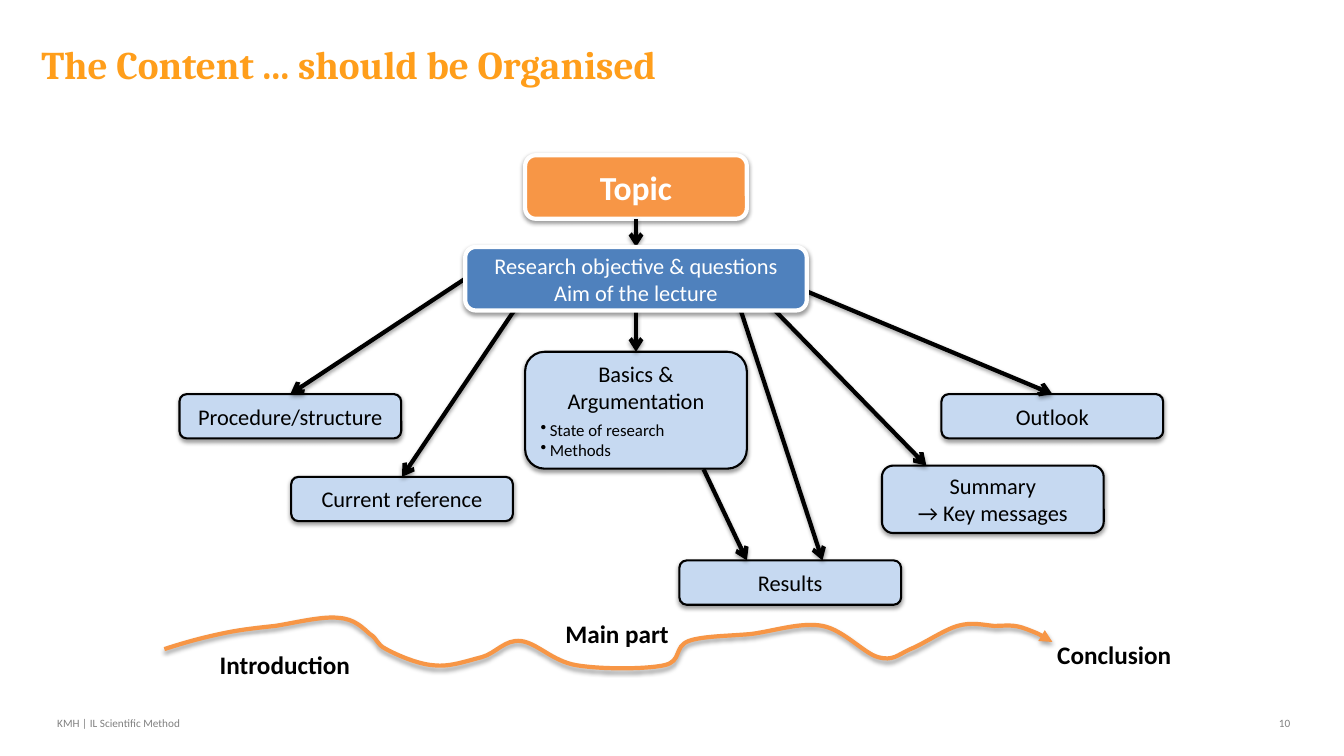
"""Build the slide showing how the content of a lecture is organised."""
from dataclasses import dataclass
from typing import NamedTuple, Union

from lxml import etree
from pptx import Presentation, util as u
from pptx.dml.color import RGBColor
from pptx.enum import shapes, text
from pptx.oxml import ns

Pt = u.Pt
BLACK = RGBColor(0x00, 0x00, 0x00)
WHITE = RGBColor(0xFF, 0xFF, 0xFF)
GREY = RGBColor(0x80, 0x80, 0x80)
AMBER = RGBColor(0xFF, 0x9E, 0x1B)
ORANGE = RGBColor(0xF7, 0x96, 0x46)
BLUE = RGBColor(0x4F, 0x81, 0xBD)
PALE_BLUE = RGBColor(0xC6, 0xD9, 0xF1)
TOP, LEFT, BOTTOM = 0, 1, 2


class Point(NamedTuple):
    x: float
    y: float


class Joint(NamedTuple):
    box: str
    side: int


@dataclass(frozen=True)
class Box:
    name: str
    text: str
    left: float
    top: float
    width: float = 158.4
    height: float = 31.7
    fill: RGBColor = PALE_BLUE
    line: RGBColor = BLACK
    line_width: float = 1.5
    color: RGBColor = BLACK
    size: float = 16
    bold: bool = False
    bullets: tuple[str, ...] = ()


@dataclass(frozen=True)
class Arrow:
    start: Union[Point, Joint]
    end: Union[Point, Joint]


@dataclass(frozen=True)
class Label:
    text: str
    left: float
    top: float
    width: float
    height: float = 29
    size: float = 18
    color: RGBColor = BLACK
    bold: bool = True
    align: text.PP_ALIGN = text.PP_ALIGN.LEFT


BOXES = (
    Box("procedure", "Procedure/structure", 128.2, 281.5),
    Box("reference", "Current reference", 208, 340.6),
    Box("topic", "Topic", 375.1, 110.9, height=45.4, fill=ORANGE, line=WHITE,
        line_width=3, color=WHITE, size=24, bold=True),
    Box("basics", "Basics &\vArgumentation", 375.1, 251.3, height=83.5,
        bullets=("State of research", "Methods")),
    Box("results", "Results", 485.3, 400.3),
    Box("summary", "Summary\v→ Key messages", 630, 332.6, height=48.2),
    Box("outlook", "Outlook", 672.5, 281.5),
    Box("aim", "Research objective & questions\nAim of the lecture", 332.3, 176.4,
        244, 45.4, BLUE, WHITE, 3, WHITE),
)
ARROWS = (
    Arrow(Joint("topic", BOTTOM), Joint("aim", TOP)),
    Arrow(Joint("aim", LEFT), Joint("procedure", TOP)),
    Arrow(Point(375.1, 210.2), Joint("reference", TOP)),
    Arrow(Joint("aim", BOTTOM), Joint("basics", TOP)),
    Arrow(Point(502.6, 335.2), Point(533.5, 400.3)),
    Arrow(Point(525.6, 211), Point(587.5, 400.3)),
    Arrow(Point(553.7, 198.7), Joint("outlook", TOP)),
    Arrow(Point(542.2, 210.2), Point(661.7, 332.6)),
)
LABELS = (
    Label("Introduction", 149.8, 460.1, 115.2),
    Label("Main part", 396.7, 437.8, 102.2),
    Label("Conclusion", 748.1, 452.9, 102.2),
    Label("KMH | IL Scientific Method", 33.8, 508.3, 287.3, 17.3, 8, GREY, False),
    Label("10", 888.5, 508.3, 40.3, 17.3, 8, GREY, False, text.PP_ALIGN.RIGHT),
)
WAVE = (
    (117.4, 463.7),
    (130.3, 459.4), (143.3, 455.8), (157, 452.9),
    (169.9, 450), (182.2, 448.6), (196.6, 447.1),
    (210.2, 445), (230.4, 439.9), (241.9, 441.4),
    (253.4, 442.1), (259.2, 448.6), (264.2, 452.9),
    (270, 456.5), (268.6, 460.1), (275.8, 463.7),
    (283.7, 468), (298.8, 474.5), (309.6, 475.2),
    (321.1, 476.6), (332.6, 472.3), (344.2, 469.4),
    (354.2, 466.6), (360.7, 456.5), (372.2, 457.9),
    (383.8, 459.4), (394.6, 472.3), (411.8, 475.2),
    (429.1, 478.1), (460.8, 478.1), (474.5, 475.2),
    (487.4, 472.3), (481, 462.2), (491.8, 457.9),
    (501.8, 454.3), (520.6, 454.3), (536.4, 452.9),
    (553, 450.7), (572.4, 444.2), (587.5, 447.1),
    (602.6, 450), (617, 466.6), (627.1, 469.4),
    (637.9, 472.3), (640.8, 468), (650.2, 463.7),
    (659.5, 460.1), (673.9, 450), (684, 447.1),
    (694.1, 444.2), (702, 446.4), (709.9, 447.1),
    (718.6, 447.1), (723.6, 445.7), (733, 449.3),
    (742.3, 452.9), (745.2, 454.3), (751.7, 458.6),
)


def add(parent, tag: str, **attrs):
    return etree.SubElement(parent, ns.qn(tag), {k: str(v) for k, v in attrs.items()})


def add_shadow(sp, dist: float = 1.6, opacity: int = 38) -> None:
    effects = add(sp._element.spPr, "a:effectLst")
    shadow = add(effects, "a:outerShdw", blurRad=Pt(3.1), dist=Pt(dist),
                 dir=90 * 60000, rotWithShape=0)
    add(add(shadow, "a:srgbClr", val=BLACK), "a:alpha", val=opacity * 1000)


def style_line(sp, color: RGBColor, width: float, head: str = "") -> None:
    sp.line.color.rgb = color
    sp.line.width = Pt(width)
    if head:
        add(sp.line._get_or_add_ln(), "a:tailEnd", type=head)


def style_text(p, size: float, color: RGBColor, bold: bool, align: text.PP_ALIGN,
               font: str = "Calibri") -> None:
    p.alignment = align
    for r in p.runs:
        r.font.name, r.font.size, r.font.bold = font, Pt(size), bold
        r.font.color.rgb = color


def add_box(s, box: Box):
    sp = s.shapes.add_shape(shapes.MSO_SHAPE.ROUNDED_RECTANGLE, Pt(box.left),
                            Pt(box.top), Pt(box.width), Pt(box.height))
    sp.fill.solid()
    sp.fill.fore_color.rgb = box.fill
    style_line(sp, box.line, box.line_width)
    add_shadow(sp)
    tf = sp.text_frame
    tf.word_wrap = True
    tf.vertical_anchor = text.MSO_ANCHOR.MIDDLE
    tf.text = box.text
    for p in tf.paragraphs:
        style_text(p, box.size, box.color, box.bold, text.PP_ALIGN.CENTER)
    for i, item in enumerate(box.bullets):
        p = tf.add_paragraph()
        p.text = item
        p.space_before = Pt(0 if i else 3.7)
        pPr = p._p.get_or_add_pPr()
        pPr.set("marL", str(Pt(6.5)))
        pPr.set("indent", str(-Pt(6.5)))
        add(pPr, "a:buChar", char="•")
        style_text(p, 12, box.color, False, text.PP_ALIGN.LEFT)
    return sp


def add_arrow(s, arrow: Arrow, boxes: dict) -> None:
    ends = [Point(0, 0) if isinstance(e, Joint) else e for e in (arrow.start, arrow.end)]
    sp = s.shapes.add_connector(shapes.MSO_CONNECTOR.STRAIGHT,
                                *(Pt(v) for end in ends for v in end))
    for end, connect in ((arrow.start, sp.begin_connect), (arrow.end, sp.end_connect)):
        if isinstance(end, Joint):
            connect(boxes[end.box], end.side)
    style_line(sp, BLACK, 3, "arrow")
    add_shadow(sp)


def add_wave(s) -> None:
    start, *rest = [(Pt(x), Pt(y)) for x, y in WAVE]
    builder = s.shapes.build_freeform(*start)
    builder.add_line_segments(rest, close=False)
    sp = builder.convert_to_shape()
    outline = next(sp._element.iter(ns.qn("a:path")))
    segments = outline.findall(ns.qn("a:lnTo"))
    for i in range(0, len(segments), 3):
        curve = add(outline, "a:cubicBezTo")
        for segment in segments[i:i + 3]:
            curve.append(segment[0])
            outline.remove(segment)
    sp.fill.background()
    style_line(sp, ORANGE, 3, "triangle")
    add_shadow(sp, 1.8, 35)


def add_label(s, label: Label) -> None:
    sp = s.shapes.add_textbox(Pt(label.left), Pt(label.top), Pt(label.width), Pt(label.height))
    tf = sp.text_frame
    tf.word_wrap = True
    tf.text = label.text
    style_text(tf.paragraphs[0], label.size, label.color, label.bold, label.align)


def add_title(s) -> None:
    sp = s.shapes.title
    sp.left, sp.top, sp.width, sp.height = Pt(22.3), Pt(25.2), Pt(850.3), Pt(36)
    tf = sp.text_frame
    tf.text = "The Content ... should be Organised"
    tf.auto_size = text.MSO_AUTO_SIZE.NONE
    tf.vertical_anchor = text.MSO_ANCHOR.TOP
    style_text(tf.paragraphs[0], 28, AMBER, True, text.PP_ALIGN.LEFT, "Cambria")


def main() -> None:
    prs = Presentation()
    prs.slide_width, prs.slide_height = Pt(960), Pt(540)
    s = prs.slides.add_slide(prs.slide_layouts[5])
    add_title(s)
    boxes = {box.name: add_box(s, box) for box in BOXES}
    for arrow in ARROWS:
        add_arrow(s, arrow, boxes)
    s.shapes._spTree.append(boxes["aim"]._element)
    add_wave(s)
    for label in LABELS:
        add_label(s, label)
    prs.save("out.pptx")


if __name__ == "__main__":
    main()
